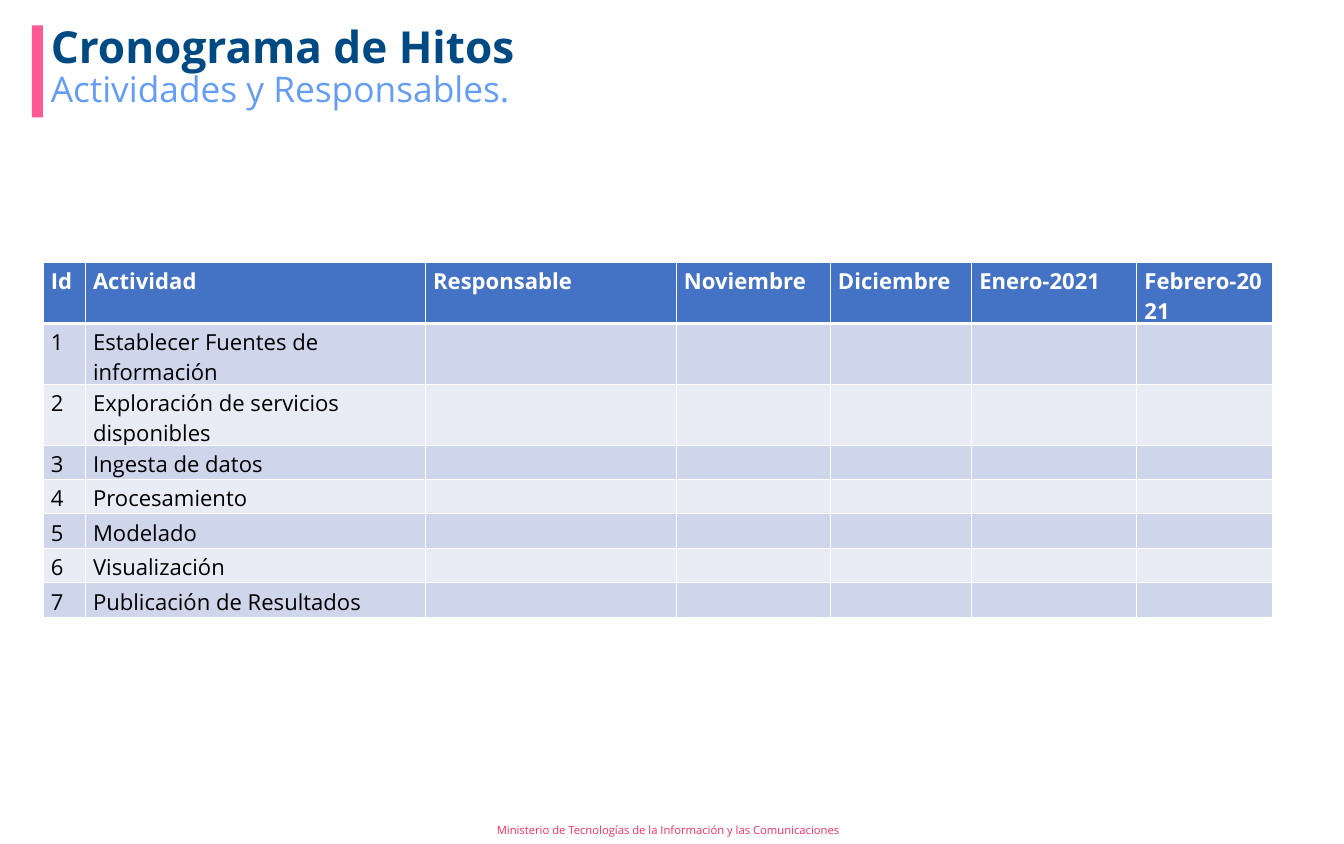
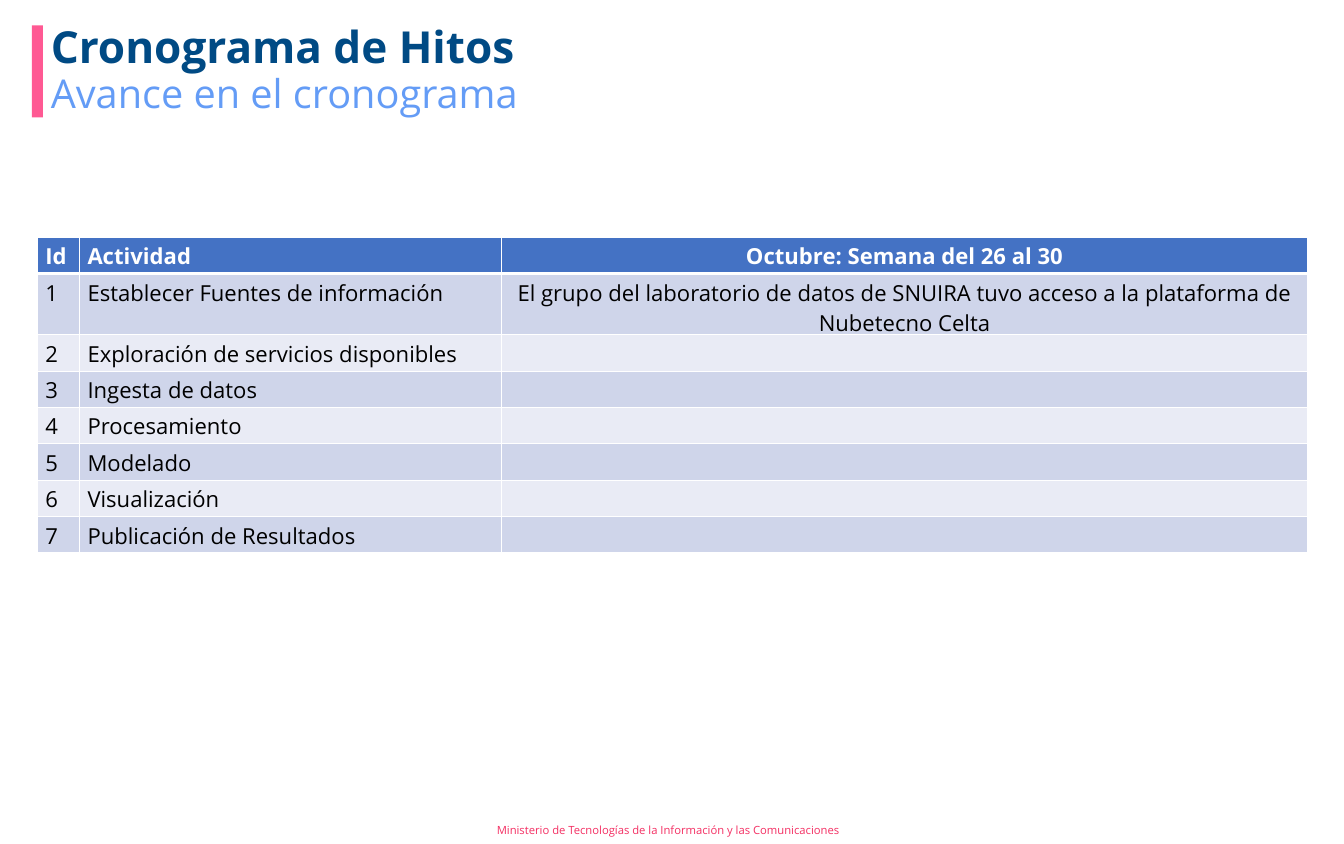
"""Build the two milestone schedule slides."""
from dataclasses import dataclass

from lxml import etree
from pptx import Presentation
from pptx import util as u
from pptx.dml.color import RGBColor
from pptx.enum import shapes, text
from pptx.oxml.ns import qn

FONT = "Open Sans"
NAVY, SKY, PINK, ROSE = "004A84", "649CF6", "FF5993", "F42F63"
WHITE, BLACK, HEADER = "FFFFFF", "000000", "4472C4"
BANDS = ("E9EBF5", "CFD5EA")
TITLE = "Cronograma de Hitos"
FOOTER = "Ministerio de Tecnologías de la Información y las Comunicaciones"
ACTIVITIES = (
    "Establecer Fuentes de información",
    "Exploración de servicios disponibles",
    "Ingesta de datos",
    "Procesamiento",
    "Modelado",
    "Visualización",
    "Publicación de Resultados",
)


@dataclass(frozen=True)
class Label:
    text: str
    box: tuple[float, float, float, float]
    size: float
    color: str
    bold: bool = False
    spacing: float = 1.0
    inset: float = 0
    anchor: text.MSO_ANCHOR = text.MSO_ANCHOR.TOP


@dataclass(frozen=True)
class Column:
    header: str
    width: float
    cells: tuple[str, ...] = ()
    align: text.PP_ALIGN = text.PP_ALIGN.LEFT


@dataclass(frozen=True)
class Schedule:
    subtitle: Label
    left: float
    top: float
    row_height: float
    columns: tuple[Column, ...]


IDS = tuple(str(i) for i in range(1, len(ACTIVITIES) + 1))
ID_COLUMN = Column("Id", 38.2, IDS)
SCHEDULES = (
    Schedule(
        Label("Actividades y Responsables.", (39, 65, 942, 54), 32, SKY, spacing=0.9),
        39, 237.8, 29.5,
        (
            ID_COLUMN,
            Column("Actividad", 308.5, ACTIVITIES),
            Column("Responsable", 227.5),
            Column("Noviembre", 139.7),
            Column("Diciembre", 128.2),
            Column("Enero-2021", 149.8),
            Column("Febrero-2021", 123.1),
        ),
    ),
    Schedule(
        Label("Avance en el cronograma", (39, 67, 942, 54), 36, SKY, spacing=0.9),
        34, 215.2, 33,
        (
            ID_COLUMN,
            Column("Actividad", 383, ACTIVITIES),
            Column(
                "Octubre: Semana del 26 al 30", 730.5,
                ("El grupo del laboratorio de datos de SNUIRA tuvo acceso "
                 "a la plataforma de Nubetecno Celta",),
                text.PP_ALIGN.CENTER,
            ),
        ),
    ),
)
COMMON_LABELS = (
    Label(FOOTER, (443.5, 740, 331, 25), 10.2, ROSE, inset=3.6,
          anchor=text.MSO_ANCHOR.MIDDLE),
    Label(TITLE, (39, 23, 1151, 40), 40, NAVY, bold=True, spacing=0.9),
)


def rgb(color: str) -> RGBColor:
    return RGBColor.from_string(color)


def format_runs(p, size: float, color: str, bold: bool) -> None:
    for r in p.runs:
        r.font.name = FONT
        r.font.size = u.Pt(size)
        r.font.bold = bold
        r.font.color.rgb = rgb(color)


def add_label(s, label: Label) -> None:
    tf = s.shapes.add_textbox(*map(u.Pt, label.box)).text_frame
    tf.word_wrap = True
    tf.vertical_anchor = label.anchor
    tf.margin_top = tf.margin_bottom = u.Pt(label.inset)
    tf.text = label.text
    p = tf.paragraphs[0]
    p.line_spacing = label.spacing
    format_runs(p, label.size, label.color, label.bold)


def add_accent(s) -> None:
    sp = s.shapes.add_shape(
        shapes.MSO_SHAPE.RECTANGLE, u.Pt(29), u.Pt(23), u.Pt(10), u.Pt(83.5))
    sp.shadow.inherit = False
    sp.fill.solid()
    sp.fill.fore_color.rgb = rgb(PINK)
    sp.line.fill.background()


def set_borders(cell, row: int) -> None:
    tc_pr = cell._tc.get_or_add_tcPr()
    widths = {"L": 1, "R": 1, "T": 3 if row == 1 else 1, "B": 3 if row == 0 else 1}
    for i, (side, width) in enumerate(widths.items()):
        ln = etree.Element(qn(f"a:ln{side}"), w=str(u.Pt(width)))
        fill = etree.SubElement(ln, qn("a:solidFill"))
        etree.SubElement(fill, qn("a:srgbClr"), val=WHITE)
        tc_pr.insert(i, ln)


def fill_cell(cell, value: str, row: int, align: text.PP_ALIGN) -> None:
    is_header = row == 0
    cell.fill.solid()
    cell.fill.fore_color.rgb = rgb(HEADER if is_header else BANDS[row % 2])
    set_borders(cell, row)
    cell.text_frame.text = value
    p = cell.text_frame.paragraphs[0]
    p.alignment = align
    p.font.size = u.Pt(20)
    format_runs(p, 20, WHITE if is_header else BLACK, is_header)


def add_schedule(s, schedule: Schedule) -> None:
    rows = len(ACTIVITIES) + 1
    columns = schedule.columns
    width = sum(column.width for column in columns)
    table = s.shapes.add_table(
        rows, len(columns), u.Pt(schedule.left), u.Pt(schedule.top),
        u.Pt(width), u.Pt(rows * schedule.row_height)).table
    for i, column in enumerate(columns):
        table.columns[i].width = u.Pt(column.width)
        values = (column.header, *column.cells)
        for row in range(rows):
            value = values[row] if row < len(values) else ""
            fill_cell(table.cell(row, i), value, row, column.align)


def main() -> None:
    prs = Presentation()
    prs.slide_width, prs.slide_height = u.Pt(1219), u.Pt(765.4)
    for schedule in SCHEDULES:
        s = prs.slides.add_slide(prs.slide_layouts[6])
        add_accent(s)
        for label in (*COMMON_LABELS, schedule.subtitle):
            add_label(s, label)
        add_schedule(s, schedule)
    prs.save("out.pptx")


if __name__ == "__main__":
    main()
